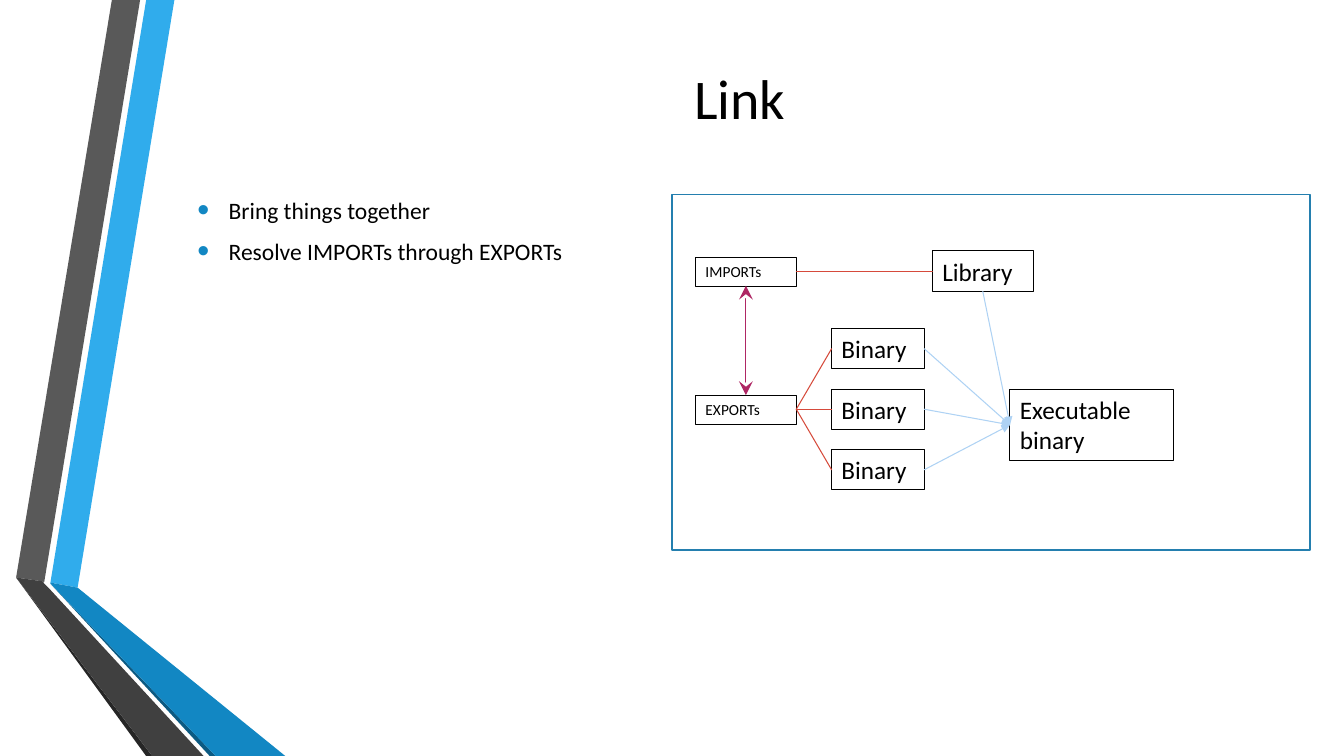
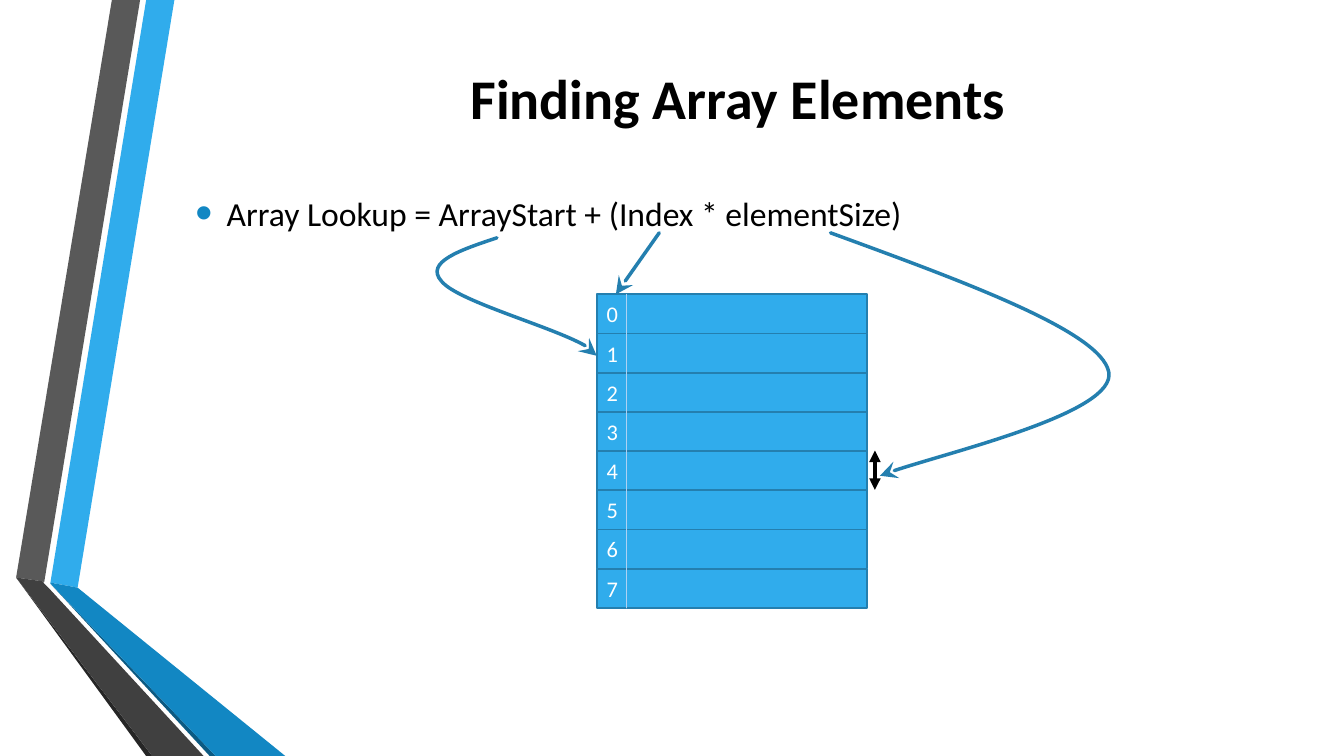
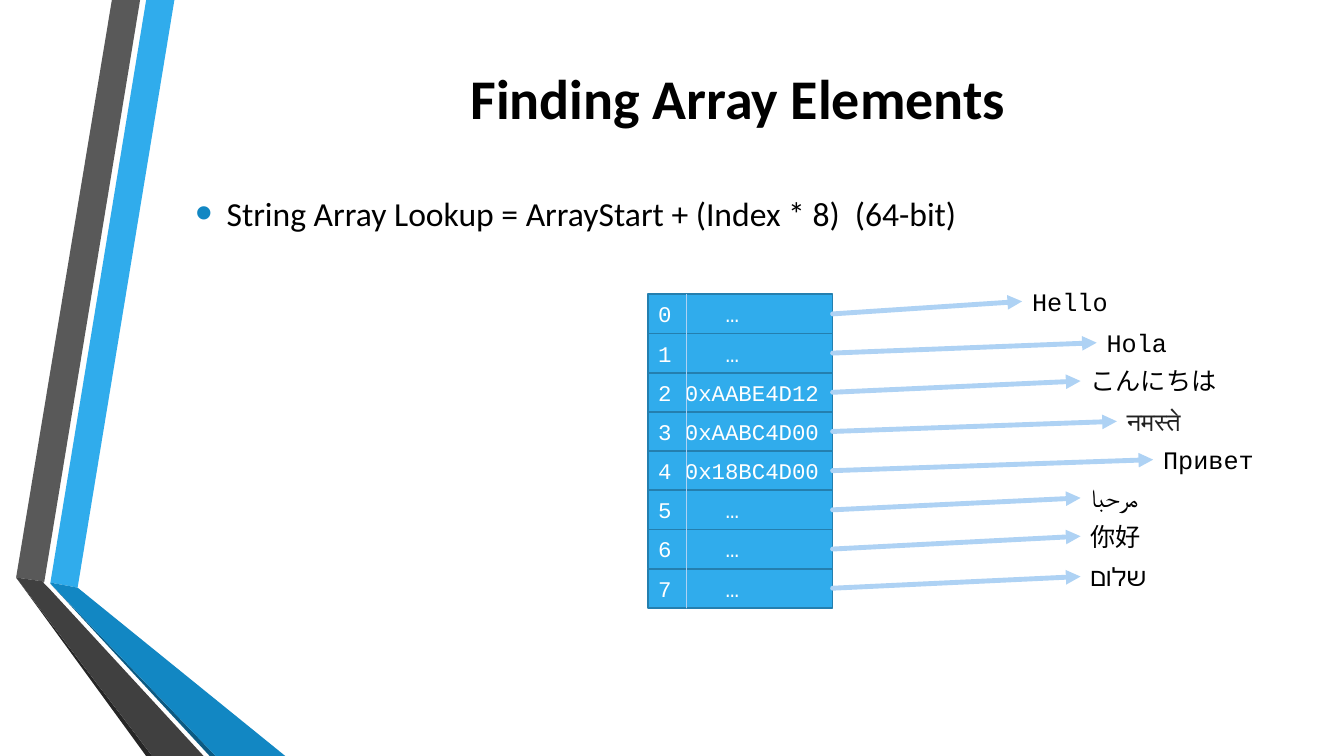
import pptx
import pptx.util
import pptx.dml.color
import pptx.enum.shapes
import pptx.enum.text
import pptx.oxml
import pptx.oxml.ns
import lxml.etree

presentation = pptx.Presentation()
presentation.slide_width = pptx.util.Inches(13.33)
presentation.slide_height = pptx.util.Inches(7.5)
column = presentation.slide_width / 40
row = presentation.slide_height / 30

BLACK, WHITE = "000000", "FFFFFF"
SKY, BLUE, OUTLINE, PALE = "30ACEC", "1287C3", "247FAF", "AED2F4"
RED, MAGENTA = "D64A3B", "AF2764"
MIDDLE = pptx.enum.text.MSO_ANCHOR.MIDDLE
LEFT = pptx.enum.text.PP_ALIGN.LEFT
CENTER = pptx.enum.text.PP_ALIGN.CENTER
qn = pptx.oxml.ns.qn


def color(value):
    return pptx.dml.color.RGBColor.from_string(value)


def add_box(slide, left, top, width, height, paragraphs, size=18, font="Calibri", ink=BLACK,
            fill=None, line=None, weight=0.75, anchor=pptx.enum.text.MSO_ANCHOR.TOP,
            align=LEFT, bold=False, bullet=False):
    frame = [int(left * column), int(top * row), int(width * column), int(height * row)]
    if line:
        shape = slide.shapes.add_shape(pptx.enum.shapes.MSO_SHAPE.RECTANGLE, *frame)
        shape.shadow.inherit = False
        shape.line.color.rgb = color(line)
        shape.line.width = pptx.util.Pt(weight)
        if fill:
            shape.fill.solid()
            shape.fill.fore_color.rgb = color(fill)
        else:
            shape.fill.background()
    else:
        shape = slide.shapes.add_textbox(*frame)
    text_frame = shape.text_frame
    text_frame.word_wrap = True
    text_frame.vertical_anchor = anchor
    for index, runs in enumerate(paragraphs):
        paragraph = text_frame.paragraphs[0] if index == 0 else text_frame.add_paragraph()
        paragraph.alignment = align
        for text in runs:
            run = paragraph.add_run()
            run.text = text
            run.font.size = pptx.util.Pt(size)
            run.font.name = font
            run.font.bold = bold
            run.font.color.rgb = color(ink)
        if bullet:
            paragraph.space_before = pptx.util.Pt(size * 0.2)
            paragraph.space_after = pptx.util.Pt(6)
            properties = paragraph._p.get_or_add_pPr()
            properties.set("marL", str(pptx.util.Inches(0.31)))
            properties.set("indent", str(-pptx.util.Inches(0.31)))
            bullet_color = lxml.etree.SubElement(properties, qn("a:buClr"))
            lxml.etree.SubElement(bullet_color, qn("a:srgbClr"), val=BLUE)
            lxml.etree.SubElement(properties, qn("a:buSzPct"), val="145000")
            lxml.etree.SubElement(properties, qn("a:buFont"), typeface="Arial")
            lxml.etree.SubElement(properties, qn("a:buChar"), char="•")
    return shape


layout = presentation.slide_layouts[6]
link_slide, array_slide, string_slide = [presentation.slides.add_slide(layout) for _ in range(3)]

ribbons = [
    (SKY, [(1.5, 23.12), (2.31, 23.32), (5.19, 0), (4.35, 0)]),
    ("595959", [(4.17, 0), (3.33, 0), (0.48, 22.92), (1.32, 23.08)]),
    ("262626", [(0.48, 22.92), (4.35, 30), (4.53, 30)]),
    ("0C5A82", [(1.5, 23.16), (6.24, 30), (6.42, 30)]),
    (BLUE, [(1.5, 23.12), (1.5, 23.16), (6.42, 30), (8.49, 30), (2.31, 23.32)]),
    ("404040", [(6.06, 30), (1.44, 23.32), (1.29, 23.12), (1.32, 23.08), (0.48, 22.92), (4.53, 30)]),
]
for fill, points in ribbons:
    corners = [(int(x * column), int(y * row)) for x, y in points]
    builder = link_slide.shapes.build_freeform(*corners[0])
    builder.add_line_segments(corners[1:], close=True)
    ribbon = builder.convert_to_shape()
    ribbon.shadow.inherit = False
    ribbon.fill.solid()
    ribbon.fill.fore_color.rgb = color(fill)
    ribbon.line.fill.background()
    layout.element.cSld.spTree.append(ribbon.element)

headings = [
    (link_slide, 5.58, "Link", False, 7.68, 2.92, 16.8,
     ["Bring things together", "Resolve IMPORTs through EXPORTs"]),
    (array_slide, 5.52, "Finding Array Elements", True, 7.12, 2.64, 24,
     ["Array Lookup = ArrayStart + (Index * elementSize)"]),
    (string_slide, 5.52, "Finding Array Elements", True, 7.12, 2.64, 24,
     ["String Array Lookup = ArrayStart + (Index * 8)  (64-bit)"]),
]
for slide, left, title, bold, top, height, size, bullets in headings:
    add_box(slide, left, 0, 32.88, 7.68, [[title]], 40, anchor=MIDDLE, align=CENTER, bold=bold)
    add_box(slide, left, top, 32.88, height, [[text] for text in bullets], size,
            anchor=MIDDLE, bullet=True)

lines = [
    (link_slide, (29.25, 11.56), (30.06, 16.86), PALE, 0.75, None, "triangle"),
    (link_slide, (23.7, 10.76), (27.75, 10.76), RED, 0.75, None, None),
    (link_slide, (22.2, 11.34), (22.2, 15.68), MAGENTA, 0.75, "stealth", "stealth"),
    (array_slide, (26.04, 17.88), (26.04, 19.44), BLACK, 2.75, "triangle", "triangle"),
    (array_slide, (19.62, 9.24), (18.33, 11.68), OUTLINE, 2.5, None, "stealth"),
]

add_box(link_slide, 20.01, 7.72, 18.99, 14.12, [], line=OUTLINE, weight=1.25)
diagram_boxes = [
    ("Library", 27.75, 9.96, 3, 1.6, 18),
    ("Executable binary", 30.06, 15.44, 4.86, 2.84, 18),
    ("IMPORTs", 20.7, 10.2, 3, 1.16, 11),
    ("EXPORTs", 20.7, 15.68, 3, 1.16, 11),
]
for index in range(3):
    top = 13.04 + 2.4 * index
    diagram_boxes.append(("Binary", 24.75, top, 2.76, 1.6, 18))
    lines.append((link_slide, (23.7, 16.24), (24.75, top + 0.8), RED, 0.75, None, None))
    lines.append((link_slide, (27.51, top + 0.8), (30.06, 16.86), PALE, 0.75, None, "triangle"))
for text, left, top, width, height, size in diagram_boxes:
    add_box(link_slide, left, top, width, height, [[text]], size, line=BLACK)

cells_top, cell_height = 11.68, 1.555
addresses = ["\t…", "\t…", " 0xAABE4D12", " 0xAABC4D00", " 0x18BC4D00", "\t…", "\t…", "\t…"]
arrays = [
    (array_slide, 17.76, 8.04, 18.66, "Calibri", [""] * 8),
    (string_slide, 19.29, 5.49, 20.43, "Courier New", addresses),
]
for slide, left, width, divider, font, values in arrays:
    for index, value in enumerate(values):
        runs = [str(index), value] if value else [str(index)]
        cell = add_box(slide, left, cells_top + index * cell_height, width, cell_height, [runs], 16,
                       font, WHITE, SKY, OUTLINE, 1.25, MIDDLE)
        cell.text_frame.margin_right = 0
        if "\t" in value:
            properties = cell.text_frame.paragraphs[0]._p.get_or_add_pPr()
            tabs = lxml.etree.SubElement(properties, qn("a:tabLst"))
            lxml.etree.SubElement(tabs, qn("a:tab"), pos=str(pptx.util.Inches(0.67)), algn="l")
    lines.append((slide, (divider, cells_top), (divider, cells_top + 8 * cell_height),
                  PALE, 0.75, None, None))

greetings = [
    ("Hello", 30.42, 11.16, 3.93, BLACK),
    ("Hola", 32.64, 12.8, 4.08, BLACK),
    ("こんにちは", 32.16, 14.32, 6.24, BLACK),
    ("नमस्ते", 33.24, 15.92, 2.7, "212121"),
    ("Привет", 34.32, 17.44, 4.08, BLACK),
    ("مرحبا", 32.16, 18.96, 4.08, BLACK),
    ("你好", 32.16, 20.48, 2.7, BLACK),
    ("שלום", 32.16, 22.08, 2.7, BLACK),
]
for index, (text, left, top, width, ink) in enumerate(greetings):
    add_box(string_slide, left, top, width, 1.6, [[text]], font="Courier New", ink=ink)
    start = (24.78, cells_top + (index + 0.5) * cell_height)
    lines.append((string_slide, start, (left, top + 0.8), PALE, 3.5, None, "triangle"))

strokes = []
for slide, start, end, ink, weight, head, tail in lines:
    ends = [int(value) for x, y in (start, end) for value in (x * column, y * row)]
    connector = slide.shapes.add_connector(pptx.enum.shapes.MSO_CONNECTOR.STRAIGHT, *ends)
    strokes.append((connector, ink, weight, head, tail))

curves = [
    [(14.79, 9.44), (13.71, 9.92), (12.63, 10.4), (13.14, 11.16),
     (13.62, 11.96), (17.61, 13.4), (17.76, 14.12)],
    [(24.72, 9.24), (28.74, 11.2), (32.76, 13.16), (33, 14.76),
     (33.24, 16.36), (27.45, 18.2), (26.19, 18.88)],
]
for points in curves:
    controls = [(int(x * column), int(y * row)) for x, y in points]
    builder = array_slide.shapes.build_freeform(*controls[0])
    builder.add_line_segments(controls[1:], close=False)
    curve = builder.convert_to_shape()
    curve.fill.background()
    outline = next(curve.element.iter(qn("a:path")))
    segments = outline.findall(qn("a:lnTo"))
    for first in range(0, len(segments), 3):
        bezier = lxml.etree.SubElement(outline, qn("a:cubicBezTo"))
        for segment in segments[first:first + 3]:
            bezier.append(segment[0])
            outline.remove(segment)
    strokes.append((curve, OUTLINE, 2.5, None, "stealth"))

for shape, ink, weight, head, tail in strokes:
    shape.line.color.rgb = color(ink)
    shape.line.width = pptx.util.Pt(weight)
    properties = shape.element.spPr
    stroke = properties.find(qn("a:ln"))
    stroke.set("cap", "rnd")
    for tag, arrow in (("a:headEnd", head), ("a:tailEnd", tail)):
        if arrow:
            extent = "lg" if arrow == "stealth" else "med"
            lxml.etree.SubElement(stroke, qn(tag), type=arrow, w=extent, len=extent)
    lxml.etree.SubElement(properties, qn("a:effectLst"))

presentation.save("out.pptx")
